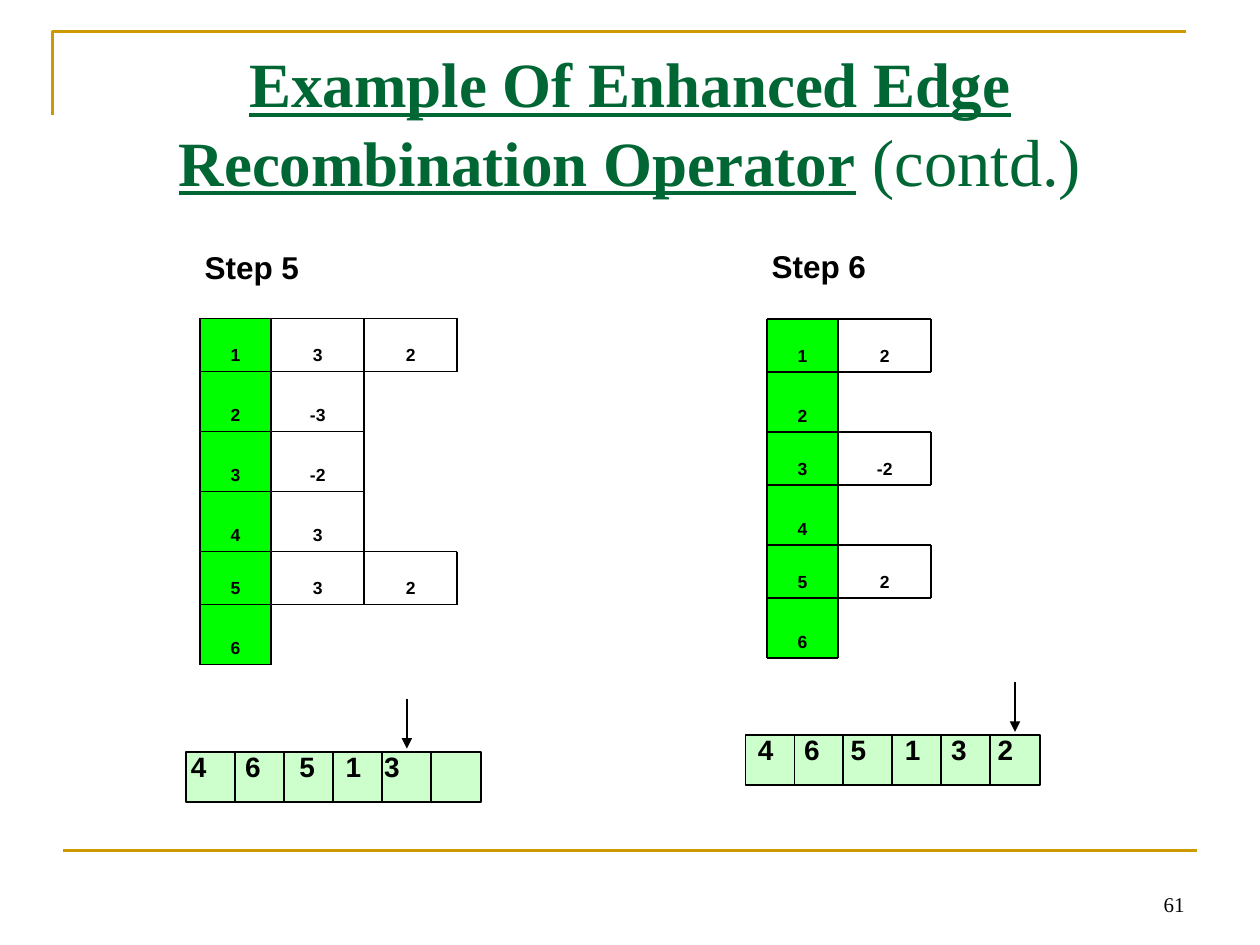
from dataclasses import dataclass
from itertools import accumulate, groupby

from lxml import etree
from pptx import Presentation
from pptx.dml.color import RGBColor
from pptx.enum import shapes as kinds, text as txt
from pptx.oxml import ns
from pptx.util import Pt

GOLD = RGBColor(0xCC, 0x99, 0x00)
DARK_GREEN = RGBColor(0x00, 0x66, 0x33)
KEY_GREEN = RGBColor(0x00, 0xFF, 0x00)
TOUR_GREEN = RGBColor(0xCC, 0xFF, 0xCC)
BLACK = RGBColor(0x00, 0x00, 0x00)

SERIF, SANS = "Times New Roman", "Arial"
LEFT, CENTER, RIGHT = txt.PP_ALIGN.LEFT, txt.PP_ALIGN.CENTER, txt.PP_ALIGN.RIGHT
TOP, BOTTOM = txt.MSO_ANCHOR.TOP, txt.MSO_ANCHOR.BOTTOM

SHORT, TALL = 30.3, 34.3
KEY_WIDTH, EDGE_WIDTH = 40.8, 53.1
TOUR_PITCH, TOUR_WIDTH, TOUR_HEIGHT, TOUR_LENGTH = 27.95, 28.6, 28.5, 6


@dataclass(frozen=True)
class EdgeRow:
    height: float
    edges: tuple[str, ...] = ()


@dataclass(frozen=True)
class Step:
    label: str
    label_left: float
    label_top: float
    table_left: float
    table_top: float
    rows: tuple[EdgeRow, ...]
    tour_left: float
    tour_top: float
    tour: str
    digits_left: float
    digit_tabs: tuple[float, ...]


STEPS = (
    Step(
        "Step 5", 77.9, 138.2, 114.2, 182,
        (EdgeRow(SHORT, ("3", "2")), EdgeRow(TALL, ("-3",)), EdgeRow(TALL, ("-2",)),
         EdgeRow(TALL, ("3",)), EdgeRow(SHORT, ("3", "2")), EdgeRow(TALL)),
        106.4, 429.8, "46513", 102, (31, 62, 88.5, 110.5),
    ),
    Step(
        "Step 6", 401.9, 137.5, 438.2, 182.3,
        (EdgeRow(SHORT, ("2",)), EdgeRow(TALL), EdgeRow(SHORT, ("-2",)),
         EdgeRow(TALL), EdgeRow(SHORT, ("2",)), EdgeRow(TALL)),
        426, 420.2, "465132", 426, (26.5, 53, 84, 110.5, 137),
    ),
)


def write(shape, wording: str, size: float, font: str, align, anchor,
          bold: bool = True, color: RGBColor = BLACK, tabs: tuple[float, ...] = ()):
    frame = shape.text_frame
    frame.word_wrap = True
    frame.vertical_anchor = anchor
    paragraph = frame.paragraphs[0]
    paragraph.alignment = align
    if tabs:
        properties = paragraph._p.get_or_add_pPr()
        stops = etree.SubElement(properties, ns.qn("a:tabLst"))
        for position in tabs:
            etree.SubElement(stops, ns.qn("a:tab"), pos=str(Pt(position)), algn="l")
    paragraph.add_run().text = wording
    paragraph.font.size = Pt(size)
    paragraph.font.name = font
    paragraph.font.bold = bold
    paragraph.font.color.rgb = color
    return paragraph


def add_label(slide, left: float, top: float, width: float, height: float):
    return slide.shapes.add_textbox(Pt(left), Pt(top), Pt(width), Pt(height))


def add_cell(slide, left: float, top: float, width: float, height: float,
             fill: RGBColor, outlined: bool):
    cell = slide.shapes.add_shape(kinds.MSO_SHAPE.RECTANGLE,
                                  Pt(left), Pt(top), Pt(width), Pt(height))
    cell.shadow.inherit = False
    cell.fill.solid()
    cell.fill.fore_color.rgb = fill
    if outlined:
        cell.line.color.rgb = BLACK
        cell.line.width = Pt(1)
    else:
        cell.line.fill.background()
    return cell


def add_line(slide, x1: float, y1: float, x2: float, y2: float,
             color: RGBColor = BLACK, width: float = 1, arrow: bool = False) -> None:
    line = slide.shapes.add_connector(kinds.MSO_CONNECTOR.STRAIGHT,
                                      Pt(x1), Pt(y1), Pt(x2), Pt(y2))
    line.line.color.rgb = color
    line.line.width = Pt(width)
    properties = line._element.spPr
    if arrow:
        outline = properties.find(ns.qn("a:ln"))
        etree.SubElement(outline, ns.qn("a:tailEnd"), type="triangle")
    etree.SubElement(properties, ns.qn("a:effectLst"))


def draw_frame(slide) -> None:
    builder = slide.shapes.build_freeform(Pt(30), Pt(66))
    builder.add_line_segments([(Pt(30), Pt(18)), (Pt(678), Pt(18))], close=False)
    corner = builder.convert_to_shape()
    corner.shadow.inherit = False
    corner.fill.background()
    corner.line.color.rgb = GOLD
    corner.line.width = Pt(1.5)
    add_line(slide, 36, 486, 684, 486, GOLD, 1.5)
    page = add_label(slide, 516, 491.6, 168, 36)
    write(page, "61", 12, SERIF, RIGHT, BOTTOM, bold=False)


def draw_title(slide) -> None:
    title = add_label(slide, 36, 21.6, 648, 90)
    title.text_frame.margin_top = Pt(2.3)
    heading = write(title, "Example Of Enhanced Edge Recombination Operator",
                    36, SERIF, CENTER, TOP, color=DARK_GREEN)
    heading.line_spacing = Pt(45)
    heading.runs[0].font.underline = True
    continued = heading.add_run()
    continued.text = " (contd.)"
    continued.font.size = Pt(38)
    continued.font.bold = False


def draw_edge_table(slide, step: Step) -> None:
    tops = list(accumulate((row.height for row in step.rows), initial=step.table_top))
    rights = [step.table_left + KEY_WIDTH + column * EDGE_WIDTH for column in range(3)]
    counts = [len(row.edges) for row in step.rows]

    for key, (row, top) in enumerate(zip(step.rows, tops), start=1):
        key_cell = add_cell(slide, step.table_left, top, KEY_WIDTH, row.height,
                            KEY_GREEN, outlined=False)
        write(key_cell, str(key), 10, SANS, CENTER, BOTTOM)
        for left, edge in zip(rights, row.edges):
            edge_label = add_label(slide, left, top, EDGE_WIDTH, row.height)
            write(edge_label, edge, 10, SANS, CENTER, BOTTOM)

    for border, top in enumerate(tops):
        reach = max(counts[max(border - 1, 0):border + 1])
        add_line(slide, step.table_left, top, rights[reach], top)

    add_line(slide, step.table_left, tops[0], step.table_left, tops[-1])
    for column, right in enumerate(rights):
        for filled, run in groupby(range(len(counts)), lambda i: counts[i] >= column):
            if filled:
                members = list(run)
                add_line(slide, right, tops[members[0]], right, tops[members[-1] + 1])


def draw_tour(slide, step: Step) -> None:
    for position in range(TOUR_LENGTH):
        add_cell(slide, step.tour_left + position * TOUR_PITCH, step.tour_top,
                 TOUR_WIDTH, TOUR_HEIGHT, TOUR_GREEN, outlined=True)
    current = step.tour_left + (len(step.tour) - 1) * TOUR_PITCH + TOUR_WIDTH / 2
    add_line(slide, current, step.tour_top - 30.5, current, step.tour_top - 2,
             width=0.75, arrow=True)
    digits = add_label(slide, step.digits_left, step.tour_top - 5, 180, 43)
    write(digits, "\t".join(step.tour), 16, SANS, LEFT, TOP, tabs=step.digit_tabs)


def main() -> None:
    deck = Presentation()
    deck.slide_width, deck.slide_height = Pt(720), Pt(540)
    slide = deck.slides.add_slide(deck.slide_layouts[6])
    draw_frame(slide)
    draw_title(slide)
    for step in STEPS:
        draw_tour(slide, step)
        draw_edge_table(slide, step)
        label = add_label(slide, step.label_left, step.label_top, 132, 29)
        write(label, step.label, 18, SANS, CENTER, TOP)
    deck.save("out.pptx")


if __name__ == "__main__":
    main()
